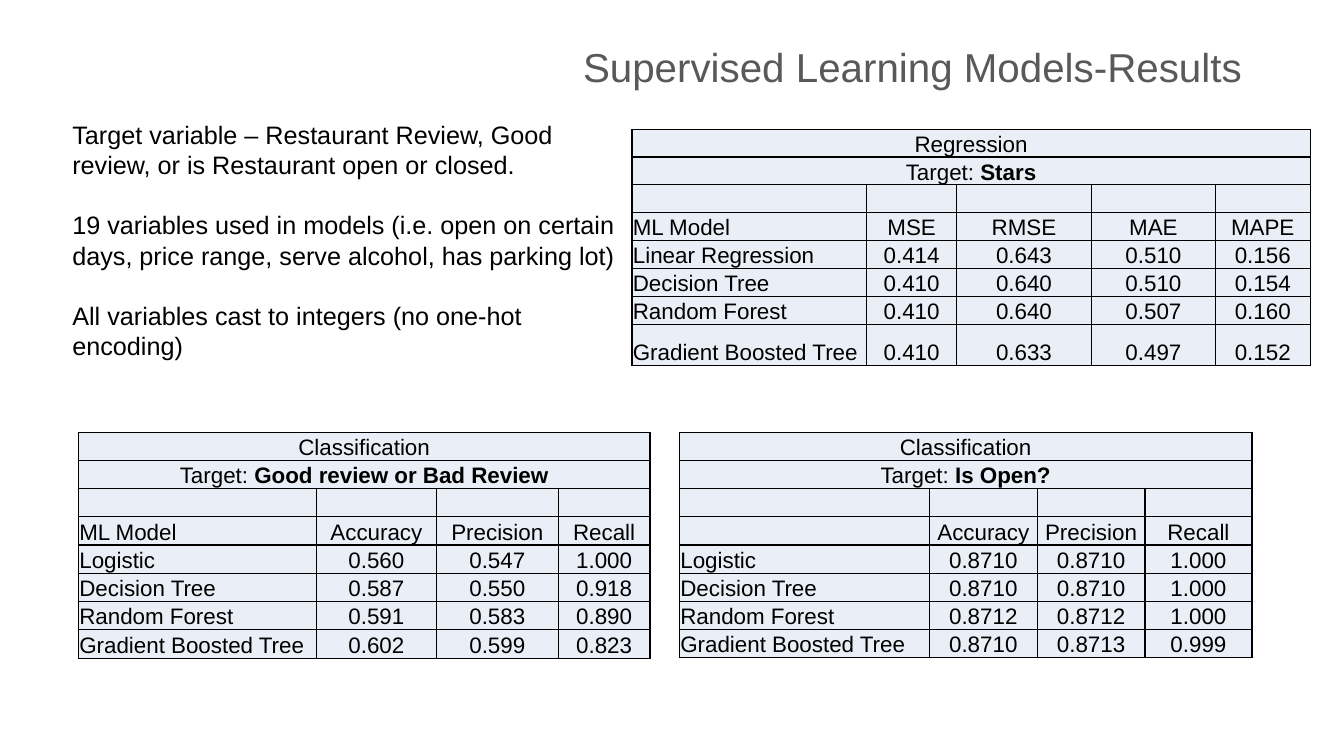
import pptx
import pptx.dml.color
import pptx.enum.text
import pptx.oxml
import pptx.oxml.ns
import pptx.util

Pt = pptx.util.Pt
ALIGN = pptx.enum.text.PP_ALIGN
ANCHOR = pptx.enum.text.MSO_ANCHOR

FONT, BLACK, GREY, CELL = "Arial", "000000", "595959", "EAEFF7"
TITLE = "Supervised Learning Models-Results"
NOTES = [
    "Target variable – Restaurant Review, Good review, or is Restaurant open or closed.",
    "19 variables used in models (i.e. open on certain days, price range, serve alcohol, has parking lot)",
    "All variables cast to integers (no one-hot encoding)",
]
TABLES = [
    {
        "task": "Regression", "target": "Stars", "at": (451.4, 92.2),
        "cols": [167.8, 64, 96.5, 88.5, 67.7], "rows": [18.8] * 6 + [20, 29.2],
        "body": [
            ["ML Model", "MSE", "RMSE", "MAE", "MAPE"],
            ["Linear Regression", "0.414", "0.643", "0.510", "0.156"],
            ["Decision Tree", "0.410", "0.640", "0.510", "0.154"],
            ["Random Forest", "0.410", "0.640", "0.507", "0.160"],
            ["Gradient Boosted Tree", "0.410", "0.633", "0.497", "0.152"],
        ],
    },
    {
        "task": "Classification", "target": "Good review or Bad Review", "at": (56, 308.9),
        "cols": [170, 85.7, 87.1, 65.5], "rows": [20.1] * 7 + [20.8],
        "body": [
            ["ML Model", "Accuracy", "Precision", "Recall"],
            ["Logistic", "0.560", "0.547", "1.000"],
            ["Decision Tree", "0.587", "0.550", "0.918"],
            ["Random Forest", "0.591", "0.583", "0.890"],
            ["Gradient Boosted Tree", "0.602", "0.599", "0.823"],
        ],
    },
    {
        "task": "Classification", "target": "Is Open?", "at": (485.3, 308.9),
        "cols": [178.6, 77, 77, 76.4], "rows": [20.1] * 7 + [18.7],
        "body": [
            ["", "Accuracy", "Precision", "Recall"],
            ["Logistic", "0.8710", "0.8710", "1.000"],
            ["Decision Tree", "0.8710", "0.8710", "1.000"],
            ["Random Forest", "0.8712", "0.8712", "1.000"],
            ["Gradient Boosted Tree", "0.8710", "0.8713", "0.999"],
        ],
    },
]


def rgb(value):
    return pptx.dml.color.RGBColor.from_string(value)


def style(p, size, color, align):
    p.font.name, p.font.size = FONT, Pt(size)
    p.font.color.rgb = rgb(color)
    p.alignment = align


def add_text(slide, box, lines, size, color, align, anchor):
    tf = slide.shapes.add_textbox(*map(Pt, box)).text_frame
    tf.word_wrap = True
    tf.vertical_anchor = anchor
    for i, line in enumerate(lines):
        p = tf.paragraphs[0] if i == 0 else tf.add_paragraph()
        p.text = line
        style(p, size, color, align)
        if i:
            p.space_before = Pt(21.6)
    return tf


def format_cell(cell, align):
    cell.margin_left = cell.margin_right = cell.margin_top = Pt(0.7)
    cell.margin_bottom = Pt(0)
    cell.vertical_anchor = ANCHOR.BOTTOM
    cell.fill.solid()
    cell.fill.fore_color.rgb = rgb(CELL)
    style(cell.text_frame.paragraphs[0], 16, BLACK, align)
    tcPr = cell._tc.get_or_add_tcPr()
    for i, side in enumerate("LRTB"):
        tcPr.insert(i, pptx.oxml.parse_xml(
            f'<a:ln{side} {pptx.oxml.ns.nsdecls("a")} w="{Pt(1)}"><a:solidFill>'
            f'<a:srgbClr val="{BLACK}"/></a:solidFill></a:ln{side}>'))


def add_results(slide, data):
    cols, rows = data["cols"], data["rows"]
    box = (*data["at"], sum(cols), sum(rows))
    tbl = slide.shapes.add_table(len(rows), len(cols), *map(Pt, box)).table
    tbl.first_row = tbl.horz_banding = False
    for column, width in zip(tbl.columns, cols):
        column.width = Pt(width)
    for row, height in zip(tbl.rows, rows):
        row.height = Pt(height)
    for r in range(len(rows)):
        for c in range(len(cols)):
            cell = tbl.cell(r, c)
            if r > 2:
                cell.text = data["body"][r - 3][c]
            format_cell(cell, ALIGN.LEFT if r > 2 and c == 0 else ALIGN.CENTER)
    for r in range(2):
        tbl.cell(r, 0).merge(tbl.cell(r, len(cols) - 1))
    tbl.cell(0, 0).text_frame.paragraphs[0].add_run().text = data["task"]
    p = tbl.cell(1, 0).text_frame.paragraphs[0]
    p.add_run().text = "Target: "
    target = p.add_run()
    target.text = data["target"]
    target.font.bold = True


def main():
    prs = pptx.Presentation()
    prs.slide_width, prs.slide_height = Pt(960), Pt(540)
    slide = prs.slides.add_slide(prs.slide_layouts[6])
    title = add_text(slide, (66.2, 28.8, 828, 41), [TITLE], 28.8, GREY, ALIGN.RIGHT, ANCHOR.MIDDLE)
    title.paragraphs[0].line_spacing = 0.9
    for data in TABLES:
        add_results(slide, data)
    add_text(slide, (44.6, 81.4, 415.4, 181.4), NOTES, 18, BLACK, ALIGN.LEFT, ANCHOR.TOP)
    prs.save("out.pptx")


if __name__ == "__main__":
    main()
